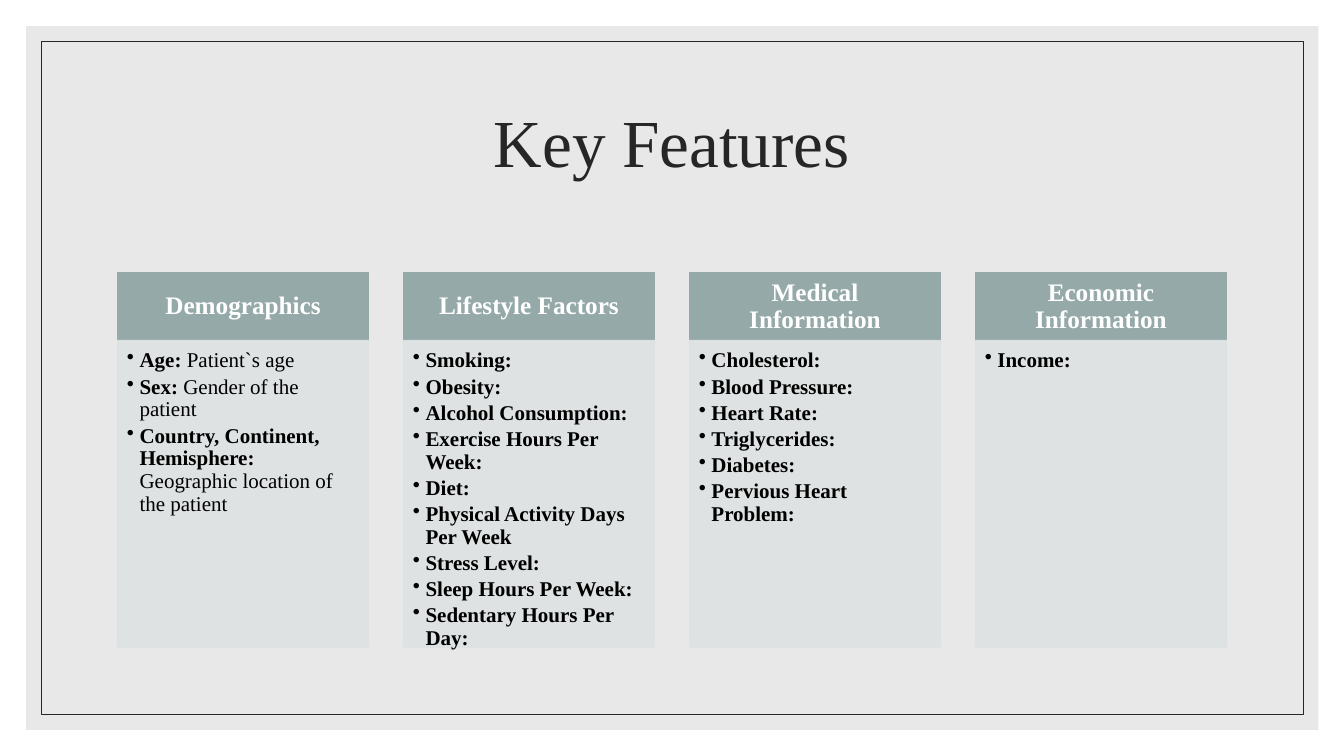
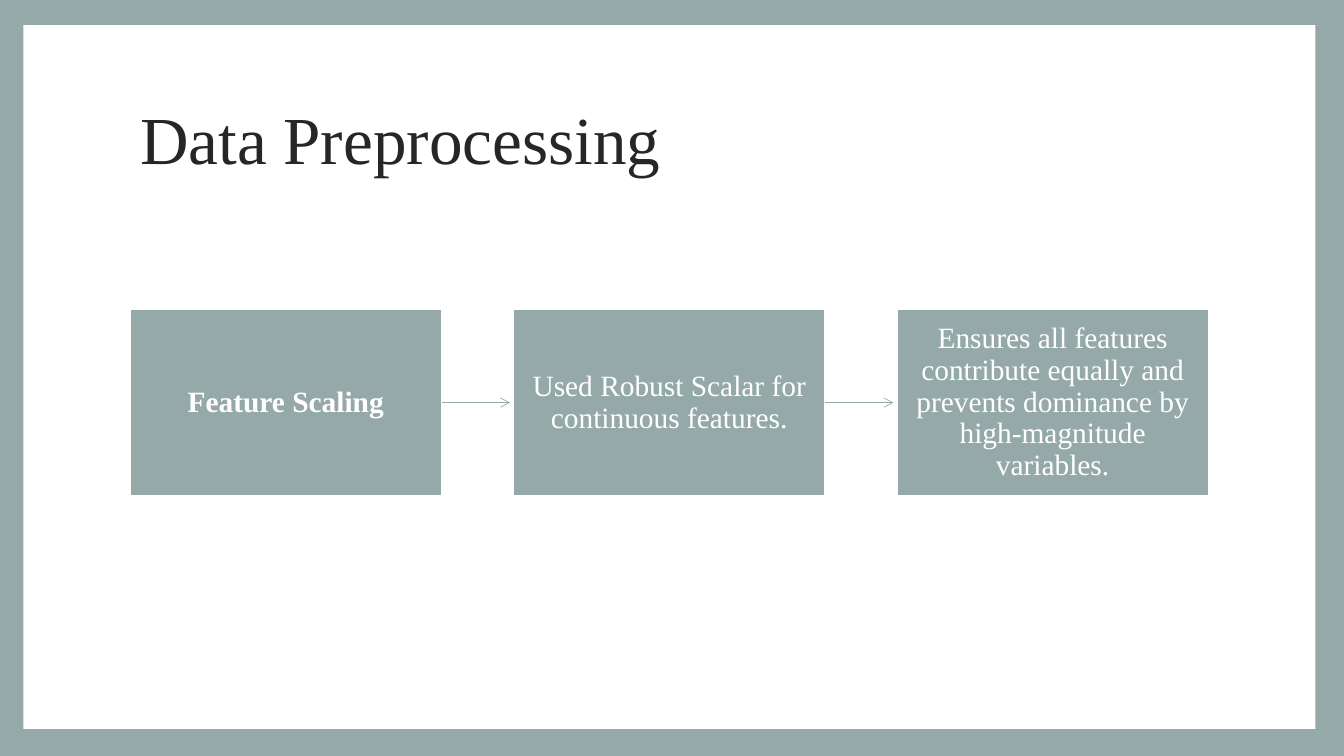
from dataclasses import dataclass
from typing import Optional

from lxml.etree import SubElement
from pptx import Presentation
from pptx.dml.color import RGBColor
from pptx.enum.shapes import MSO_CONNECTOR, MSO_SHAPE
from pptx.enum.text import MSO_ANCHOR, MSO_AUTO_SIZE, PP_ALIGN
from pptx.oxml.ns import qn
from pptx.util import Pt

FONT = "Times New Roman"
SAGE, MIST, GREY = "96A9A9", "DDE2E2", "D9D9D9"
WHITE, BLACK, INK = "FFFFFF", "000000", "262626"
WIDE, HIGH = 960, 540


@dataclass(frozen=True)
class Area:
    left: float
    top: float
    width: float
    height: float


@dataclass(frozen=True)
class Paint:
    color: str
    alpha: int = 100
    width: float = 1


@dataclass(frozen=True)
class Run:
    text: str
    bold: bool = True


@dataclass(frozen=True)
class Style:
    size: float
    color: str
    insets: tuple = (7.2, 3.6, 7.2, 3.6)
    align: PP_ALIGN = PP_ALIGN.CENTER
    anchor: MSO_ANCHOR = MSO_ANCHOR.MIDDLE
    bullet: bool = False


@dataclass(frozen=True)
class Group:
    name: str
    items: tuple


HEAD = Style(18, WHITE, (10, 5.8, 10, 5.8))
LIST = Style(15, BLACK, (6.7, 6.7, 9, 9.5), PP_ALIGN.LEFT, MSO_ANCHOR.TOP, True)
STEP = Style(21, WHITE, (10.8, 11.5, 10.8, 11.5))
PAGE = Area(0, 0, WIDE, HIGH)


def plain(*names: str) -> tuple:
    """Turn each name into a one-run bold item."""
    return tuple((Run(name),) for name in names)


GROUPS = (
    Group("Demographics", (
        (Run("Age: "), Run("Patient`s age", False)),
        (Run("Sex: "), Run("Gender of the patient", False)),
        (Run("Country, Continent, Hemisphere: "),
         Run("Geographic location of the patient", False)),
    )),
    Group("Lifestyle Factors", plain(
        "Smoking:", "Obesity:", "Alcohol Consumption:",
        "Exercise Hours Per Week:", "Diet:",
        "Physical Activity Days Per Week", "Stress Level:",
        "Sleep Hours Per Week:", "Sedentary Hours Per Day:")),
    Group("Medical Information", plain(
        "Cholesterol:", "Blood Pressure:", "Heart Rate:",
        "Triglycerides:", "Diabetes:", "Pervious Heart Problem:")),
    Group("Economic Information", plain("Income:")),
)
STEPS = (
    Run("Feature Scaling"),
    Run("Used Robust Scalar for continuous features.", False),
    Run("Ensures all features contribute equally and prevents dominance "
        "by high-magnitude variables.", False),
)


def tint(fill, paint: Paint) -> None:
    fill.solid()
    fill.fore_color.rgb = RGBColor.from_string(paint.color)
    if paint.alpha < 100:
        for node in fill._xPr.iter(qn("a:solidFill")):
            if node.getparent() is fill._xPr:
                SubElement(node[0], qn("a:alpha"), val=str(paint.alpha * 1000))


def place(shape, area: Area) -> None:
    shape.left, shape.top = Pt(area.left), Pt(area.top)
    shape.width, shape.height = Pt(area.width), Pt(area.height)


def write(shape, items: tuple, style: Style) -> None:
    frame = shape.text_frame
    frame.word_wrap = True
    frame.auto_size = MSO_AUTO_SIZE.NONE
    frame.vertical_anchor = style.anchor
    (frame.margin_left, frame.margin_top,
     frame.margin_right, frame.margin_bottom) = map(Pt, style.insets)
    for i, runs in enumerate(items):
        para = frame.add_paragraph() if i else frame.paragraphs[0]
        para.alignment = style.align
        para.line_spacing = 0.9
        if style.bullet:
            para.space_after = Pt(2.5)
            props = para._p.get_or_add_pPr()
            props.set("marL", str(Pt(9)))
            props.set("indent", str(-Pt(9)))
            SubElement(props, qn("a:buChar"), char="•")
        for part in runs:
            run = para.add_run()
            run.text = part.text
            run.font.name = FONT
            run.font.size = Pt(style.size)
            run.font.bold = part.bold
            run.font.color.rgb = RGBColor.from_string(style.color)


def box(slide, area: Area, fill: Optional[Paint] = None,
        line: Optional[Paint] = None):
    shape = slide.shapes.add_shape(MSO_SHAPE.RECTANGLE, 0, 0, 0, 0)
    place(shape, area)
    shape.shadow.inherit = False
    if fill:
        tint(shape.fill, fill)
    else:
        shape.fill.background()
    if line:
        shape.line.width = Pt(line.width)
        tint(shape.line.fill, line)
    else:
        shape.line.fill.background()
    return shape


def title(slide, text: str, area: Area, align: PP_ALIGN) -> None:
    """Fill the title placeholder and lift it above the panels."""
    shape = slide.shapes.title
    place(shape, area)
    write(shape, ((Run(text, False),),), Style(48, INK, align=align))
    slide.shapes.element.append(shape.element)


def arrow(slide, start, end: float) -> None:
    """Point from the right side of start to the x position end."""
    mid = start.top + start.height // 2
    line = slide.shapes.add_connector(
        MSO_CONNECTOR.STRAIGHT, start.left + start.width, mid, Pt(end), mid)
    line.begin_connect(start, 3)
    line.line.width = Pt(0.5)
    tint(line.line.fill, Paint(SAGE))
    SubElement(line.line._ln, qn("a:tailEnd"), type="arrow")
    SubElement(line.element.spPr, qn("a:effectLst"))


def features(slide) -> None:
    box(slide, PAGE, Paint(WHITE))
    box(slide, Area(18.7, 18.7, 923, 502.6), Paint(GREY, 60))
    box(slide, Area(29.5, 29.5, 901.4, 481), line=Paint(INK, width=0.5))
    title(slide, "Key Features", Area(84, 50.4, 792, 108), PP_ALIGN.CENTER)
    left, pitch, width = 84, 204.25, 179.3
    top, head, body = 195, 48.2, 219
    for i, group in enumerate(GROUPS):
        x = left + i * pitch
        cap = box(slide, Area(x, top, width, head), Paint(SAGE), Paint(SAGE))
        write(cap, plain(group.name), HEAD)
        pale = Paint(MIST, 90)
        card = box(slide, Area(x, top + head, width, body), pale, pale)
        write(card, group.items, LIST)


def process(slide) -> None:
    box(slide, PAGE, Paint(SAGE))
    box(slide, Area(16.6, 18, 923, 502.6), Paint(WHITE))
    title(slide, "Data Preprocessing", Area(92.9, 68.4, 771, 67.7),
          PP_ALIGN.LEFT)
    left, pitch, width = 92.9, 273.9, 222.5
    for i, step in enumerate(STEPS):
        x = left + i * pitch
        card = box(slide, Area(x, 221, width, 133.2), Paint(SAGE),
                   Paint(WHITE))
        write(card, ((step,),), STEP)
        if i < len(STEPS) - 1:
            arrow(slide, card, x + pitch - 2.5)


def main() -> None:
    deck = Presentation()
    deck.slide_width, deck.slide_height = Pt(WIDE), Pt(HIGH)
    for draw in (features, process):
        draw(deck.slides.add_slide(deck.slide_layouts[5]))
    deck.save("out.pptx")


if __name__ == "__main__":
    main()
